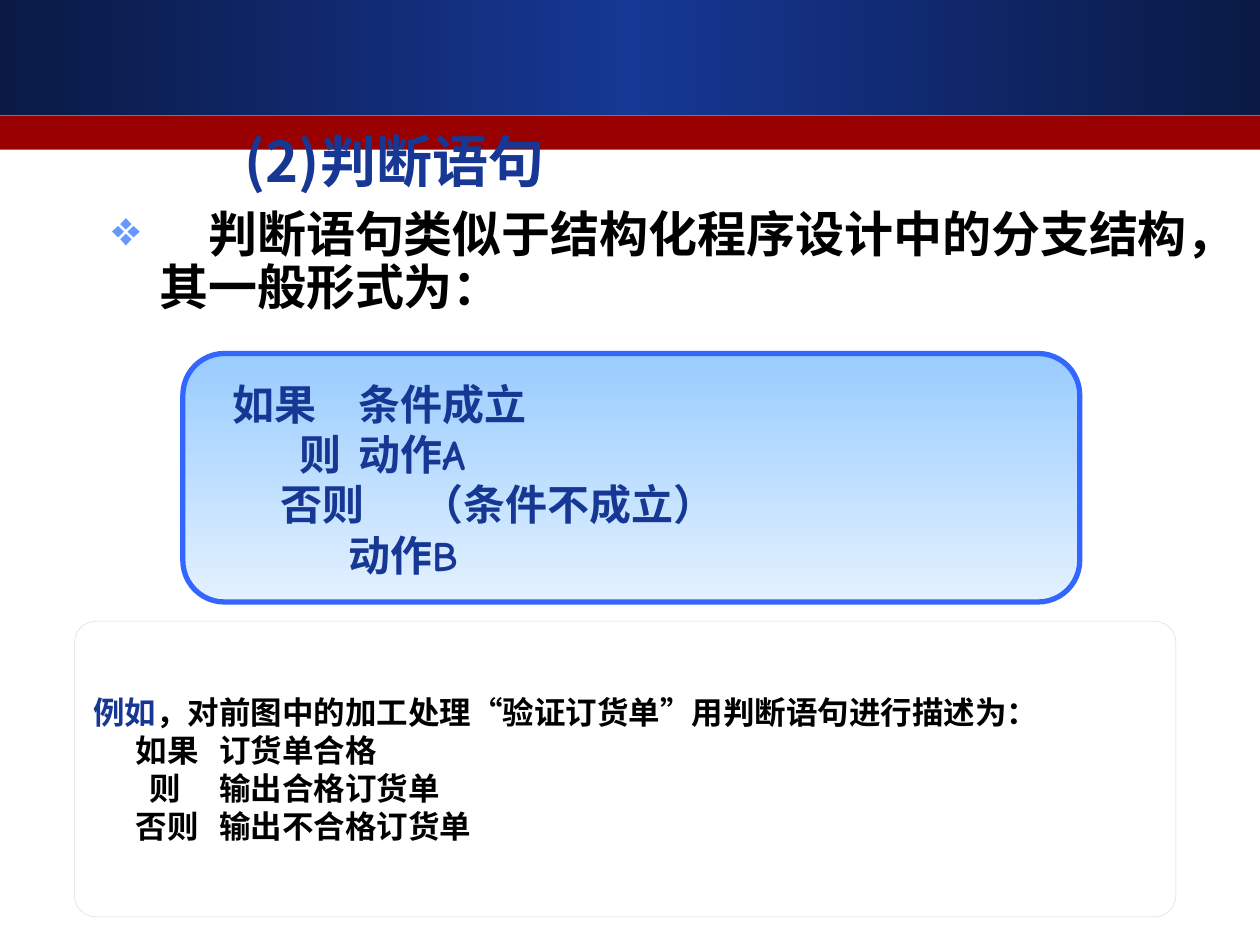
from copy import deepcopy

from lxml import etree
from pptx import Presentation
from pptx import util as u
from pptx.dml.color import RGBColor
from pptx.enum import shapes, text
from pptx.oxml import ns

Pt = u.Pt
COLORS = {
    "navy": "0A1A45", "blue": "163794", "red": "990000", "black": "000000",
    "white": "FFFFFF", "bullet": "6699FF", "border": "3366FF",
    "sky": "99CCFF", "pale": "E3F1FF", "grey": "D9D9D9",
}
CJK_FONT = "Noto Sans CJK SC"

# Each line: first-line indent, tab stop and text
RULE_LINES = [
    (0, 64.5, "如果\t条件成立"),
    (38, 79, "则\t动作A"),
    (27.5, 85.5, "否则\t（条件不成立）"),
    (66, None, "动作B"),
]
EXAMPLE_LINES = [
    (0, None, "例如，对前图中的加工处理“验证订货单”用判断语句进行描述为："),
    (24.5, 73, "如果\t订货单合格"),
    (32.5, 62.5, "则\t输出合格订货单"),
    (24.5, 73, "否则\t输出不合格订货单"),
]


def rgb(name):
    return RGBColor.from_string(COLORS[name])


def fill_gradient(fill, names, angle):
    """Spread the named colours evenly along a linear gradient."""
    fill.gradient()
    fill.gradient_angle = angle
    stop_list = fill._fill._gradFill.gsLst
    for _ in names[2:]:
        stop_list.append(deepcopy(stop_list[-1]))
    for index, (stop, name) in enumerate(zip(fill.gradient_stops, names)):
        stop.color.rgb = rgb(name)
        stop.position = index / (len(names) - 1)


def add_panel(slide, kind, box, fills, angle=0, line=None, width=0, corner=None):
    shape = slide.shapes.add_shape(kind, *map(Pt, box))
    shape.shadow.inherit = False
    if corner is not None:
        shape.adjustments[0] = corner
    if len(fills) > 1:
        fill_gradient(shape.fill, fills, angle)
    else:
        shape.fill.solid()
        shape.fill.fore_color.rgb = rgb(fills[0])
    if line:
        shape.line.color.rgb = rgb(line)
        shape.line.width = Pt(width)
    else:
        shape.line.fill.background()
    return shape


def add_text_box(slide, box, content=""):
    frame = slide.shapes.add_textbox(*map(Pt, box)).text_frame
    frame.word_wrap = True
    frame.text = content
    return frame


def format_run(run, size, font, color):
    run.font.size = Pt(size)
    run.font.name = font
    run.font.bold = True
    run.font.color.rgb = rgb(color)
    east_asian = etree.SubElement(run._r.get_or_add_rPr(), ns.qn("a:ea"))
    east_asian.set("typeface", CJK_FONT)


def set_bullet(paragraph, character, color, hanging):
    properties = paragraph._p.get_or_add_pPr()
    properties.set("marL", str(Pt(hanging)))
    properties.set("indent", str(-Pt(hanging)))
    bullet_color = etree.SubElement(properties, ns.qn("a:buClr"))
    etree.SubElement(bullet_color, ns.qn("a:srgbClr")).set("val", COLORS[color])
    etree.SubElement(properties, ns.qn("a:buChar")).set("char", character)


def write_lines(frame, lines, size, font, color):
    """Write lines whose gaps come from an indent and a tab stop."""
    frame.text = "\n".join(line for _, _, line in lines)
    for paragraph, (indent, tab, _) in zip(frame.paragraphs, lines):
        paragraph.alignment = text.PP_ALIGN.LEFT
        properties = paragraph._p.get_or_add_pPr()
        properties.set("marL", "0")
        properties.set("indent", str(Pt(indent)))
        if tab is not None:
            tab_list = etree.SubElement(properties, ns.qn("a:tabLst"))
            stop = etree.SubElement(tab_list, ns.qn("a:tab"))
            stop.set("pos", str(Pt(tab)))
            stop.set("algn", "l")
        for run in paragraph.runs:
            format_run(run, size, font, color)


def highlight_start(paragraph, length, color):
    """Give the first characters of a paragraph their own colour."""
    first = paragraph.runs[0]
    rest = deepcopy(first._r)
    first._r.addnext(rest)
    whole = first.text
    first.text = whole[:length]
    paragraph.runs[1].text = whole[length:]
    first.font.color.rgb = rgb(color)


def add_header(slide):
    rectangle = shapes.MSO_SHAPE.RECTANGLE
    add_panel(slide, rectangle, (0, 0, 720, 65.5), ["navy", "blue", "navy"])
    add_panel(slide, rectangle, (0, 66, 720, 19.5), ["red"])


def add_title(slide):
    frame = add_text_box(slide, (105, 65.5, 241, 52.5), "(2)判断语句")
    frame.vertical_anchor = text.MSO_ANCHOR.MIDDLE
    paragraph = frame.paragraphs[0]
    paragraph.alignment = text.PP_ALIGN.CENTER
    format_run(paragraph.runs[0], 32, CJK_FONT, "blue")


def add_body(slide):
    frame = add_text_box(slide, (57, 116.5, 632, 215),
                         "　判断语句类似于结构化程序设计中的分支结构，其一般形式为：")
    paragraph = frame.paragraphs[0]
    set_bullet(paragraph, "❖", "bullet", 27)
    paragraph.line_spacing = 0.9
    format_run(paragraph.runs[0], 28, CJK_FONT, "black")


def add_example(slide):
    panel = add_panel(slide, shapes.MSO_SHAPE.ROUNDED_RECTANGLE,
                      (42.5, 355, 629.5, 169), ["white"],
                      line="grey", width=0.25, corner=0.073)
    frame = panel.text_frame
    frame.word_wrap = True
    frame.vertical_anchor = text.MSO_ANCHOR.MIDDLE
    write_lines(frame, EXAMPLE_LINES, 18, "Arial", "black")
    highlight_start(frame.paragraphs[0], len("例如"), "blue")


def add_rule(slide):
    add_panel(slide, shapes.MSO_SHAPE.ROUNDED_RECTANGLE,
              (104.5, 202, 512.5, 142), ["sky", "pale"], angle=270,
              line="border", width=3, corner=0.167)
    frame = add_text_box(slide, (126, 212.5, 457, 122.5))
    write_lines(frame, RULE_LINES, 24, "Comic Neue", "blue")


def main():
    presentation = Presentation()
    presentation.slide_width = Pt(720)
    presentation.slide_height = Pt(540)
    slide = presentation.slides.add_slide(presentation.slide_layouts[6])
    add_header(slide)
    add_title(slide)
    add_body(slide)
    add_example(slide)
    add_rule(slide)
    presentation.save("out.pptx")


if __name__ == "__main__":
    main()
